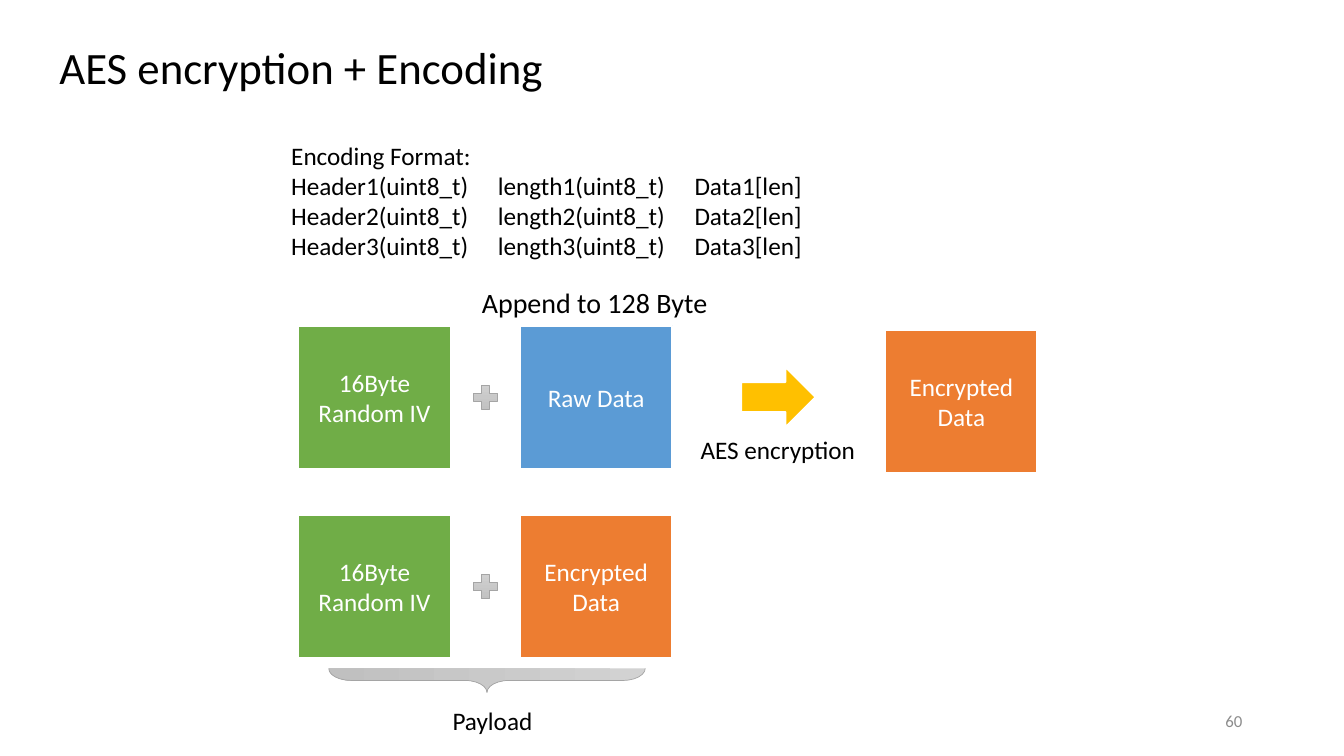
import dataclasses

import pptx
import pptx.dml.color
import pptx.enum.shapes
import pptx.enum.text
import pptx.oxml
import pptx.util

WIDE, HIGH = 13.33, 7.5
KIND = pptx.enum.shapes.MSO_SHAPE
ALIGN = pptx.enum.text.PP_ALIGN
ANCHOR = pptx.enum.text.MSO_ANCHOR


@dataclasses.dataclass(frozen=True)
class Theme:
    font: str = "Calibri"
    ink: str = "000000"
    paper: str = "FFFFFF"
    green: str = "70AD47"
    blue: str = "5B9BD5"
    orange: str = "ED7D31"
    gold: str = "FFC000"
    light: str = "D2D2D2"
    dark: str = "C0C0C0"
    edge: str = "A5A5A5"
    faint: str = "8C8C8C"
    title: int = 32
    note: int = 20
    body: int = 18
    small: int = 12


THEME = Theme()

BOX_W, BOX_H = 11.33, 18.93
LEFT, STEP = 22.2, 16.5
TOP, DROP = 43.07, 25.07


def rgb(code):
    return pptx.dml.color.RGBColor.from_string(code)


def place(x, y, w, h):
    return [pptx.util.Inches(size * share / 100)
            for size, share in ((WIDE, x), (HIGH, y), (WIDE, w), (HIGH, h))]


def write(frame, lines, size, color, align, tabs=()):
    for i, line in enumerate(lines):
        para = frame.add_paragraph() if i else frame.paragraphs[0]
        para.text = line
        para.alignment = align
        if tabs:
            props = para._p.get_or_add_pPr()
            stops = pptx.oxml.parse_xml(
                '<a:tabLst xmlns:a="http://schemas.openxmlformats.org/drawingml/2006/main">'
                + "".join(f'<a:tab pos="{pptx.util.Inches(tab)}" algn="l"/>' for tab in tabs)
                + "</a:tabLst>")
            props.append(stops)
        para.font.name = THEME.font
        para.font.size = pptx.util.Pt(size)
        para.font.color.rgb = rgb(color)


def label(slide, spot, lines, size=THEME.body, color=THEME.ink,
          align=ALIGN.LEFT, anchor=ANCHOR.TOP, wrap=False, tabs=()):
    frame = slide.shapes.add_textbox(*place(*spot)).text_frame
    frame.word_wrap = wrap
    frame.vertical_anchor = anchor
    write(frame, lines, size, color, align, tabs)


def shape(slide, kind, spot, edge, width):
    item = slide.shapes.add_shape(kind, *place(*spot))
    item.shadow.inherit = False
    item.line.color.rgb = rgb(edge)
    item.line.width = pptx.util.Pt(width)
    return item


def solid(slide, kind, spot, color):
    item = shape(slide, kind, spot, THEME.paper, 1.5)
    item.fill.solid()
    item.fill.fore_color.rgb = rgb(color)
    return item


def block(slide, x, y, text, color):
    item = solid(slide, KIND.RECTANGLE, (x, y, BOX_W, BOX_H), color)
    item.text_frame.vertical_anchor = ANCHOR.MIDDLE
    write(item.text_frame, [text], THEME.body, THEME.paper, ALIGN.CENTER)


def metal(slide, kind, spot):
    item = shape(slide, kind, spot, THEME.edge, 0.5)
    item.fill.gradient()
    item.fill.gradient_angle = 270
    for stop, color in zip(item.fill.gradient_stops, (THEME.light, THEME.dark)):
        stop.color.rgb = rgb(color)
    return item


def pair(slide, row, text, color):
    y = TOP + row * DROP
    block(slide, LEFT, y, "16Byte Random IV", THEME.green)
    metal(slide, KIND.MATH_PLUS, (34.88, y + 7.33, 2.48, 4.27))
    block(slide, LEFT + STEP, y, text, color)


def brace(slide):
    item = metal(slide, KIND.RIGHT_BRACE, (35.33, 69.07, 1.8, 41.87))
    item.rotation = 90
    item.adjustments[0] = 0.92
    item.adjustments[1] = 0.5


def main():
    deck = pptx.Presentation()
    deck.slide_width = pptx.util.Inches(WIDE)
    deck.slide_height = pptx.util.Inches(HIGH)
    slide = deck.slides.add_slide(deck.slide_layouts[6])

    label(slide, (3.68, 4.53, 37.88, 8.53), ["AES encryption + Encoding"], THEME.title)
    rows = [f"Header{n}(uint8_t)\tlength{n}(uint8_t)\tData{n}[len]" for n in (1, 2, 3)]
    label(slide, (20.93, 17.87, 39.83, 21.6), ["Encoding Format:"] + rows,
          wrap=True, tabs=(2.05, 4))
    label(slide, (35.11, 37.07, 18.45, 5.87), ["Append to 128 Byte"], THEME.note)

    pair(slide, 0, "Raw Data", THEME.blue)
    solid(slide, KIND.RIGHT_ARROW, (55.14, 48.53, 5.55, 8), THEME.gold)
    label(slide, (51.39, 56.8, 13.13, 5.33), ["AES encryption"])
    block(slide, 65.87, 43.6, "Encrypted Data", THEME.orange)

    pair(slide, 1, "Encrypted Data", THEME.orange)
    brace(slide)
    label(slide, (32.93, 92.67, 11.48, 5.33), ["Payload"], wrap=True)
    label(slide, (70.67, 92.67, 22.5, 5.33), ["60"], THEME.small, THEME.faint,
          ALIGN.RIGHT, ANCHOR.MIDDLE, True)
    deck.save("out.pptx")


if __name__ == "__main__":
    main()
